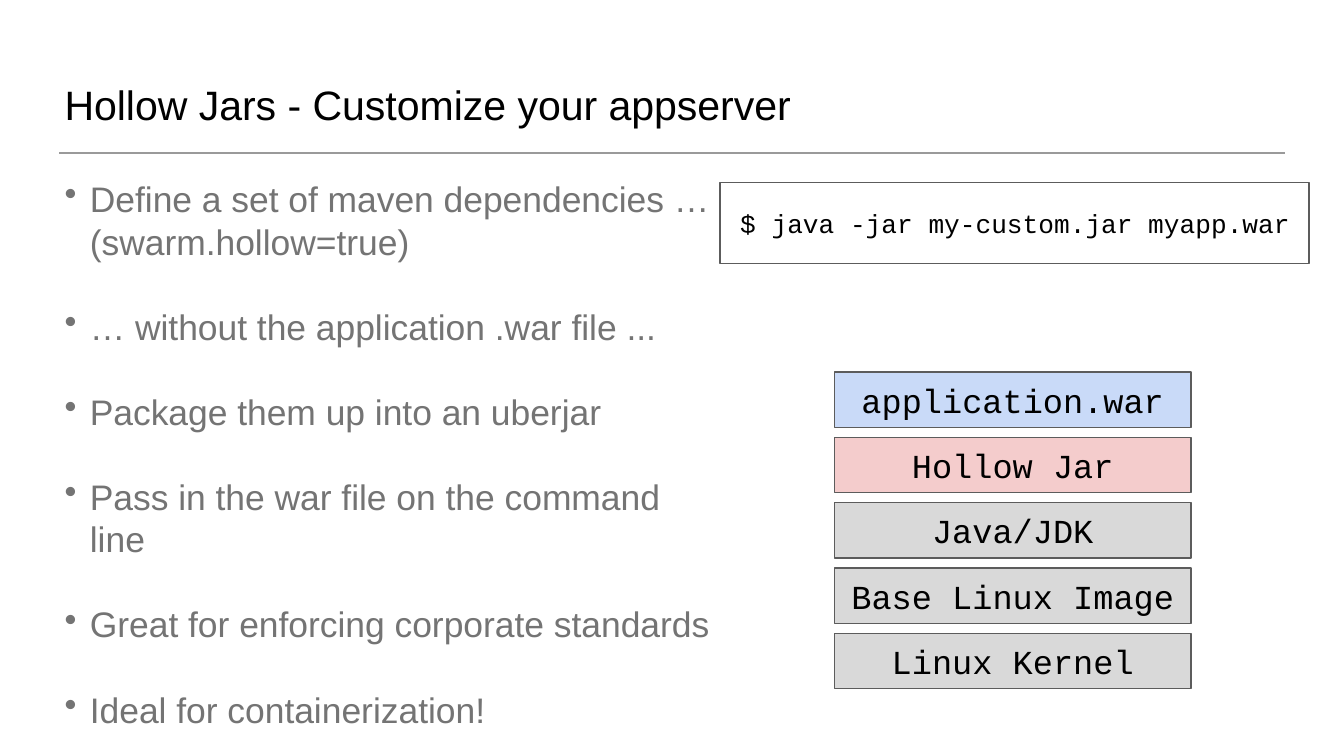
"""Build the slide on customizing an appserver with hollow jars."""
import pptx
import pptx.dml.color
import pptx.enum.shapes
import pptx.enum.text
import pptx.oxml
import pptx.util
from lxml import etree

Cm = pptx.util.Cm
Pt = pptx.util.Pt
ANCHOR = pptx.enum.text.MSO_ANCHOR
ALIGN = pptx.enum.text.PP_ALIGN

TITLE = "Hollow Jars - Customize your appserver"
BULLETS = [
    ["Define a set of maven dependencies …", "(swarm.hollow=true)"],
    ["… without the application .war file ..."],
    ["Package them up into an uberjar"],
    ["Pass in the war file on the command line"],
    ["Great for enforcing corporate standards"],
    ["Ideal for containerization!"],
]
COMMAND = "$ java -jar my-custom.jar myapp.war"
LAYERS = [
    ("application.war", "C9DAF8"),
    ("Hollow Jar", "F4CCCC"),
    ("Java/JDK", "D9D9D9"),
    ("Base Linux Image", "D9D9D9"),
    ("Linux Kernel", "D9D9D9"),
]
BLACK, GREY, OUTLINE, RULE = "000000", "747474", "5C5C5C", "9A9A9A"
SANS, MONO = "Arial", "Courier New"
LAYER_TOP, LAYER_PITCH = 7.03, 1.235
BODY_LEADING = 22.8


def color(value):
    return pptx.dml.color.RGBColor.from_string(value)


def prepare_frame(box, anchor):
    frame = box.text_frame
    frame.word_wrap = True
    frame.vertical_anchor = anchor
    frame.margin_left = frame.margin_right = Cm(0.1)
    frame.margin_top = frame.margin_bottom = Cm(0.1)
    return frame


def add_span(para, text, size, font, ink):
    span = para.add_run()
    span.text = text
    span.font.size = Pt(size)
    span.font.name = font
    span.font.color.rgb = color(ink)


def add_text(slide, place, text, size, font, anchor=ANCHOR.TOP):
    box = slide.shapes.add_textbox(*map(Cm, place))
    para = prepare_frame(box, anchor).paragraphs[0]
    add_span(para, text, size, font, BLACK)


def add_rectangle(slide, place, fill=None):
    box = slide.shapes.add_shape(
        pptx.enum.shapes.MSO_SHAPE.RECTANGLE, *map(Cm, place))
    box.shadow.inherit = False
    if fill:
        box.fill.solid()
        box.fill.fore_color.rgb = color(fill)
    else:
        box.fill.background()
    box.line.color.rgb = color(OUTLINE)
    box.line.width = Pt(0.75)
    return box


def add_rule(slide):
    rule = slide.shapes.add_connector(
        pptx.enum.shapes.MSO_CONNECTOR.STRAIGHT,
        Cm(1.12), Cm(2.89), Cm(24.28), Cm(2.89))
    rule.line.color.rgb = color(RULE)
    rule.line.width = Pt(1)
    etree.SubElement(rule.element.spPr, pptx.oxml.ns.qn("a:effectLst"))


def set_bullet(para):
    properties = para._p.get_or_add_pPr()
    properties.set("marL", str(Cm(0.48)))
    properties.set("indent", str(-Cm(0.48)))
    tint = etree.SubElement(properties, pptx.oxml.ns.qn("a:buClr"))
    etree.SubElement(tint, pptx.oxml.ns.qn("a:srgbClr"), val=GREY)
    etree.SubElement(properties, pptx.oxml.ns.qn("a:buChar"), char="•")


def add_bullets(slide, place):
    box = slide.shapes.add_textbox(*map(Cm, place))
    frame = prepare_frame(box, ANCHOR.TOP)
    for index, lines in enumerate(BULLETS):
        para = frame.add_paragraph() if index else frame.paragraphs[0]
        para.line_spacing = Pt(BODY_LEADING)
        para.space_before = Pt(BODY_LEADING if index else 0)
        set_bullet(para)
        for number, line in enumerate(lines):
            if number:
                para.add_line_break()
            add_span(para, line, 19, SANS, GREY)


def add_layers(slide):
    for index, (name, fill) in enumerate(LAYERS):
        top = LAYER_TOP + index * LAYER_PITCH
        box = add_rectangle(slide, (15.77, top, 6.74, 1.05), fill)
        para = prepare_frame(box, ANCHOR.MIDDLE).paragraphs[0]
        para.alignment = ALIGN.CENTER
        add_span(para, name, 18, MONO, BLACK)


def main():
    deck = pptx.Presentation()
    deck.slide_width, deck.slide_height = Cm(25.4), Cm(14.29)
    slide = deck.slides.add_slide(deck.slide_layouts[6])
    add_rule(slide)
    add_text(slide, (1.12, 0.48, 23.16, 2.06), TITLE, 22, SANS, ANCHOR.BOTTOM)
    add_bullets(slide, (1.12, 3.25, 12.5, 9.75))
    add_rectangle(slide, (13.61, 3.45, 11.13, 1.53))
    add_text(slide, (13.89, 3.83, 10.62, 0.97), COMMAND, 14, MONO)
    add_layers(slide)
    deck.save("out.pptx")


if __name__ == "__main__":
    main()
